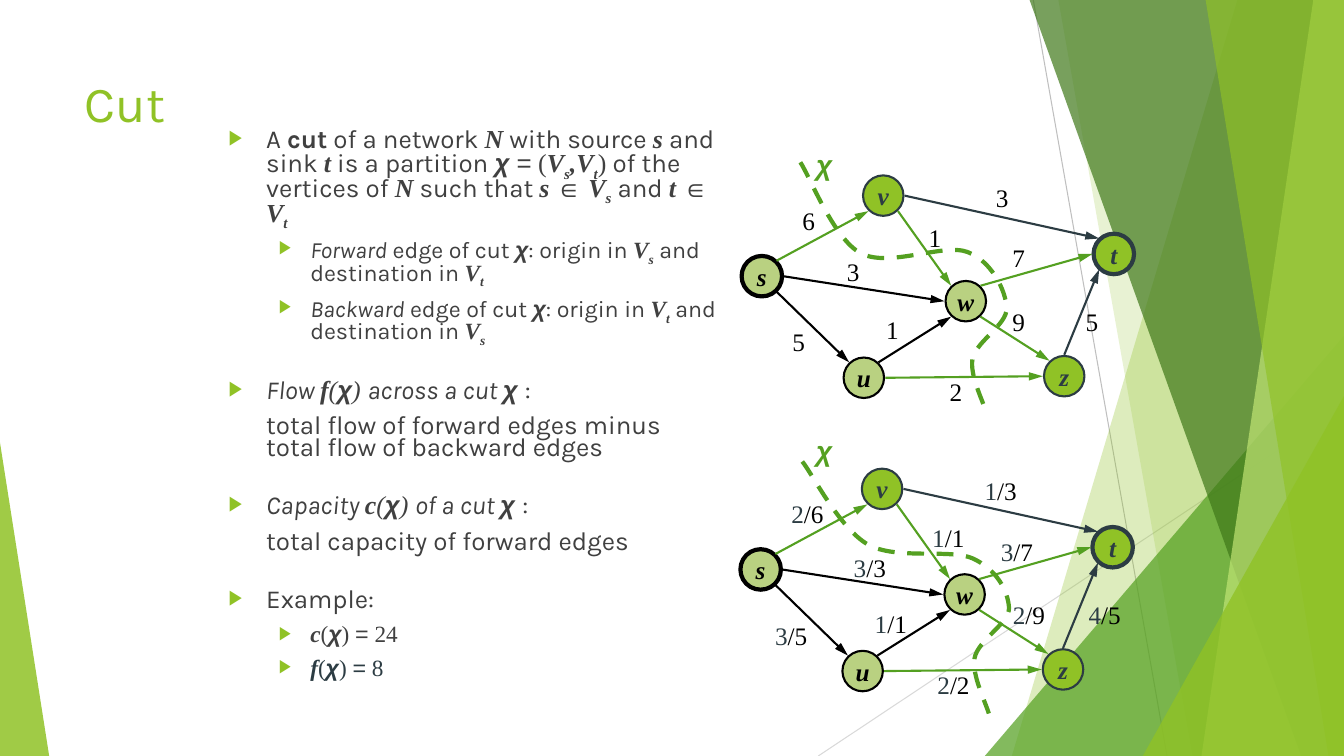
from itertools import chain
from pptx import Presentation
from pptx.dml.color import RGBColor
from pptx.enum.dml import MSO_LINE as Dash
from pptx.enum.shapes import MSO_CONNECTOR as Link, MSO_SHAPE as Kind
from pptx.enum.text import MSO_ANCHOR as Anchor, PP_ALIGN as Align
from pptx.oxml.ns import qn
from pptx.util import Cm, Pt
from lxml.etree import SubElement as Sub

WIDE, HIGH = 33.87, 19.05
LIME, GREEN, PALE = "90C226", "54A021", "B9D181"
BLACK, SLATE, GREY = "000000", "2C3C43", "404040"
SERIF, SANS, KARLA = "Times New Roman", "Arial", "Karla"

# style key: font, bold, italic, subscript
STYLES = {
    "k": (KARLA, False, False, False), "b": (KARLA, True, False, False),
    "i": (KARLA, False, True, False), "t": (SERIF, False, False, False),
    "o": (SERIF, False, True, False), "m": (SERIF, True, True, False),
    "_": (SERIF, True, True, True), "x": (SANS, True, True, False),
    "a": (SANS, False, False, False),
}
# level, bullet, space before, colour, styled text
BODY = [
    (0, True, 0, GREY, "kA |bcut|k of a network |mN|k with source |ms|k and sink |mt"
     "|k is a partition |xχ |a=|t (|mV|_s|m,V|_t|t)|k of the vertices of |mN"
     "|k such that |ms |t∈ |mV|_s|k and |mt |t∈ |mV|_t"),
    (1, True, 10, GREY, "iForward|k edge of cut |xχ|k: origin in |mV|_s"
     "|k and destination in |mV|_t"),
    (1, True, 10, GREY, "iBackward|k edge of cut |xχ|k: origin in |mV|_t"
     "|k and destination in |mV|_s"),
    (0, True, 27, GREY, "iFlow |mf|o(|xχ|o) |iacross a cut |xχ |k:"),
    (0, False, 10, GREY, "ktotal flow of forward edges minus\ntotal flow of backward edges"),
    (0, True, 26, GREY, "iCapacity |mc|o(|xχ|o) |iof a cut |xχ |k:"),
    (0, False, 10, GREY, "ktotal capacity of forward edges"),
    (0, True, 26, GREY, "kExample:"),
    (1, True, 10, GREY, "mc|t(|xχ|t) |a=|t 24"),
    (1, True, 10, SLATE, "mf|t(|xχ|t) |a=|t 8"),
]
NODES = {
    "w": (24.34, 7.59, PALE, BLACK, 1.5), "s": (19.2, 6.96, PALE, BLACK, 3),
    "v": (22.26, 4.93, LIME, SLATE, 1.5), "u": (21.77, 9.52, PALE, BLACK, 1.5),
    "t": (28.07, 6.4, LIME, SLATE, 3), "z": (26.82, 9.48, LIME, SLATE, 1.5),
}
SIDES = {"N": (0, -0.54), "E": (0.54, 0), "W": (-0.54, 0), "NE": (0.37, -0.39),
         "NW": (-0.37, -0.39), "SE": (0.37, 0.39), "SW": (-0.37, 0.39)}
EDGES = [
    ("s", "NE", "v", "SW", GREEN), ("s", "SE", "u", "NW", BLACK),
    ("v", "SE", "w", "NW", GREEN), ("v", "E", "t", "NW", SLATE),
    ("w", "NE", "t", "W", GREEN), ("w", "SE", "z", "NW", GREEN),
    ("z", "N", "t", "SW", SLATE), ("u", "E", "z", "W", GREEN),
    ("u", "NE", "w", "SW", BLACK), ("s", "E", "w", "W", BLACK),
]
CAPS = [
    ("3", 21.5, 6.83), ("9", 25.67, 8.1), ("1", 23.56, 5.99), ("3", 25.26, 4.98),
    ("7", 25.67, 6.5), ("6", 20.38, 5.56), ("5", 27.52, 8.1), ("1", 22.49, 8.31),
    ("5", 20.13, 8.61), ("2", 24.09, 9.86),
]
FLOWS = [
    ("3/3", 21.92, 14.3), ("2/9", 25.93, 15.49), ("1/1", 23.9, 13.54),
    ("1/3", 25.22, 12.37), ("3/7", 25.63, 13.89), ("2/6", 20.35, 12.95),
    ("4/5", 27.84, 15.49), ("1/1", 22.45, 15.7), ("3/5", 19.94, 16),
    ("2/2", 24.03, 17.25),
]
CUT_A = [
    (20.17, 4.09), (20.42, 4.47), (21.01, 6.02), (21.69, 6.38), (22.4, 6.76),
    (23.77, 6.12), (24.38, 6.35), (24.99, 6.58), (25.35, 7.32), (25.37, 7.77),
    (25.37, 8.2), (24.61, 8.59), (24.51, 9.04), (24.43, 9.47), (24.79, 10.13),
    (24.87, 10.44),
]
CUT_B = [
    (20.22, 11.63), (20.5, 11.99), (21.16, 13.31), (21.87, 13.72), (22.58, 14.12),
    (23.93, 13.82), (24.51, 14.07), (25.12, 14.35), (25.4, 14.88), (25.43, 15.32),
    (25.43, 15.72), (24.64, 16.13), (24.56, 16.59), (24.49, 17.02), (24.84, 17.7),
    (24.92, 17.98),
]


def tint(code):
    """Turn a hex string into a colour."""
    return RGBColor.from_string(code)


def box(x, y, w, h):
    """Give a frame in centimetres."""
    return Cm(x), Cm(y), Cm(w), Cm(h)


def ink(font, size, color, name=None, heavy=None):
    """Set size, colour, face and weight of a font."""
    font.size, font.color.rgb = Pt(size), tint(color)
    font.name, font.bold, font.italic = name, heavy, heavy


def pen(line, color, width):
    """Set colour and width of a line."""
    line.color.rgb, line.width = tint(color), Pt(width)


def glass(shape, color, alpha):
    """Fill a shape with a see-through colour and no outline."""
    shape.shadow.inherit = False
    shape.fill.solid()
    shape.fill.fore_color.rgb = tint(color)
    node = shape.element.spPr.find(".//" + qn("a:srgbClr"))
    Sub(node, qn("a:alpha"), val=str(alpha * 1000))
    shape.line.fill.background()


def trace(slide, points, close):
    """Draw an outline through points."""
    first, *rest = [(Cm(x), Cm(y)) for x, y in points]
    pencil = slide.shapes.build_freeform(*first)
    pencil.add_line_segments(rest, close=close)
    return pencil.convert_to_shape()


def wedge(slide, top, foot, color, alpha):
    """Draw a slanted band that runs to the right edge."""
    points = [(top, -0.02), (WIDE, -0.02), (WIDE, HIGH), (foot, HIGH)]
    glass(trace(slide, points, True), color, alpha)


def peak(slide, frame, tip, color, alpha):
    """Draw a triangle with its tip at a share of the width."""
    shape = slide.shapes.add_shape(Kind.ISOSCELES_TRIANGLE, *box(*frame))
    shape.adjustments[0] = tip
    glass(shape, color, alpha)


def rule(slide, start, end, color, width, arrow=False):
    """Draw a straight line, with an arrowhead if asked."""
    ends = [Cm(v) for v in chain(start, end)]
    link = slide.shapes.add_connector(Link.STRAIGHT, *ends)
    pen(link.line, color, width)
    props = link.element.spPr
    if arrow:
        Sub(props.find(qn("a:ln")), qn("a:tailEnd"), type="triangle", len="lg")
    Sub(props, qn("a:effectLst"))


def decor(slide):
    """Draw the green facets at the edges."""
    rule(slide, (26.04, 0), (29.41, HIGH), "BFBFBF", 0.75)
    rule(slide, (WIDE, 10.24), (20.62, HIGH), "D9D9D9", 0.75)
    wedge(slide, 31.19, 25.5, LIME, 30)
    wedge(slide, 26.67, 30.05, LIME, 20)
    peak(slide, (24.82, 8.46, 9.05, 10.59), 1, GREEN, 72)
    wedge(slide, 25.94, 32.79, "3F7819", 70)
    wedge(slide, 33.1, 30.28, "C0E474", 70)
    wedge(slide, 30.38, 33.48, LIME, 65)
    peak(slide, (28.8, 9.98, 5.07, 9.07), 1, LIME, 80)
    peak(slide, (0, 11.15, 1.24, 7.9), 0, LIME, 85)


def bullet(para):
    """Give a paragraph a green arrow bullet."""
    props = para._p.get_or_add_pPr()
    Sub(Sub(props, qn("a:buClr")), qn("a:srgbClr"), val=LIME)
    Sub(props, qn("a:buSzPct"), val="80000")
    Sub(props, qn("a:buFont"), typeface=SANS)
    Sub(props, qn("a:buChar"), char="▶")


def write(para, text):
    """Add the styled parts of a text, each led by its style key."""
    for part in text.split("|"):
        name, bold, slant, low = STYLES[part[0]]
        for i, words in enumerate(part[1:].split("\n")):
            if i:
                para.add_line_break()
            run = para.add_run()
            run.text = words
            run.font.name, run.font.bold, run.font.italic = name, bold, slant
            if low:
                run.font._element.set("baseline", "-25000")


def body(slide):
    """Write the bulleted text."""
    frame = slide.shapes.add_textbox(*box(5.51, 3.18, 12.9, 14.4)).text_frame
    frame.word_wrap = True
    for i, (level, mark, gap, color, text) in enumerate(BODY):
        para = frame.add_paragraph() if i else frame.paragraphs[0]
        left, hang = (2.06, 0.79) if level else (0.95, 0.95)
        props = para._p.get_or_add_pPr()
        props.set("marL", str(Cm(left)))
        props.set("indent", str(-Cm(hang) if mark else 0))
        para.level = level
        if mark:
            bullet(para)
        para.line_spacing, para.space_before = 0.7, Pt(gap)
        ink(para.font, 16.6 if level else 18.5, color)
        write(para, text)


def center(shape):
    """Centre the text of a shape and return its paragraph."""
    frame = shape.text_frame
    frame.word_wrap, frame.vertical_anchor = False, Anchor.MIDDLE
    para = frame.paragraphs[0]
    para.alignment = Align.CENTER
    return para


def label(slide, text, x, y):
    """Write a capacity, led by its flow in slate if there is one."""
    w = 1.32 if "/" in text else 0.84
    para = center(slide.shapes.add_textbox(*box(x - w / 2, y - 0.51, w, 1.02)))
    ink(para.font, 18, BLACK, SERIF)
    flow, slash, cap = text.rpartition("/")
    if flow:
        run = para.add_run()
        run.text, run.font.color.rgb = flow, tint(SLATE)
    para.add_run().text = slash + cap


def disc(slide, name, x, y, fill, color, width):
    """Draw a named vertex."""
    shape = slide.shapes.add_shape(Kind.OVAL, *box(x - 0.51, y - 0.51, 1.02, 1.02))
    shape.shadow.inherit = False
    shape.fill.solid()
    shape.fill.fore_color.rgb = tint(fill)
    pen(shape.line, color, width)
    para = center(shape)
    ink(para.font, 18, color, SERIF, True)
    para.add_run().text = name


def bend(shape):
    """Turn each three straight segments of an outline into one cubic curve."""
    legs = list(shape.element.iter(qn("a:lnTo")))
    for i in range(0, len(legs), 3):
        first, *rest = legs[i:i + 3]
        first.tag = qn("a:cubicBezTo")
        for leg in rest:
            first.append(leg[0])
            leg.getparent().remove(leg)


def graph(slide, dx, dy, labels, cut, chi):
    """Draw the network with its labels and its cut."""
    spots = {n: (x + dx, y + dy) for n, (x, y, *_) in NODES.items()}
    for name, (_, _, *look) in NODES.items():
        disc(slide, name, *spots[name], *look)
    for item in labels:
        label(slide, *item)
    for a, out, b, into, color in EDGES:
        ends = [tuple(map(sum, zip(spots[n], SIDES[side])))
                for n, side in ((a, out), (b, into))]
        rule(slide, *ends, color, 1.5, True)
    wave = trace(slide, cut, False)
    bend(wave)
    wave.shadow.inherit = False
    wave.fill.background()
    pen(wave.line, GREEN, 3)
    wave.line.dash_style = Dash.DASH
    para = center(slide.shapes.add_textbox(*box(20.32, chi, 0.89, 1.09)))
    ink(para.font, 20, GREEN, SANS, True)
    para.add_run().text = "χ"


def head(slide, text):
    """Place and format the title."""
    title = slide.shapes.title
    title.left, title.top, title.width, title.height = box(1.88, 1.7, 23.88, 3.66)
    title.text_frame.text = text
    title.text_frame.vertical_anchor = Anchor.TOP
    para = title.text_frame.paragraphs[0]
    para.alignment = Align.LEFT
    ink(para.font, 36, LIME, KARLA)


def main():
    """Build the slide and save it."""
    deck = Presentation()
    deck.slide_width, deck.slide_height = Cm(WIDE), Cm(HIGH)
    slide = deck.slides.add_slide(deck.slide_layouts[5])
    decor(slide)
    head(slide, "Cut")
    body(slide)
    graph(slide, 0, 0, CAPS, CUT_A, 3.59)
    graph(slide, -0.03, 7.39, FLOWS, CUT_B, 10.8)
    deck.save("out.pptx")


if __name__ == "__main__":
    main()
